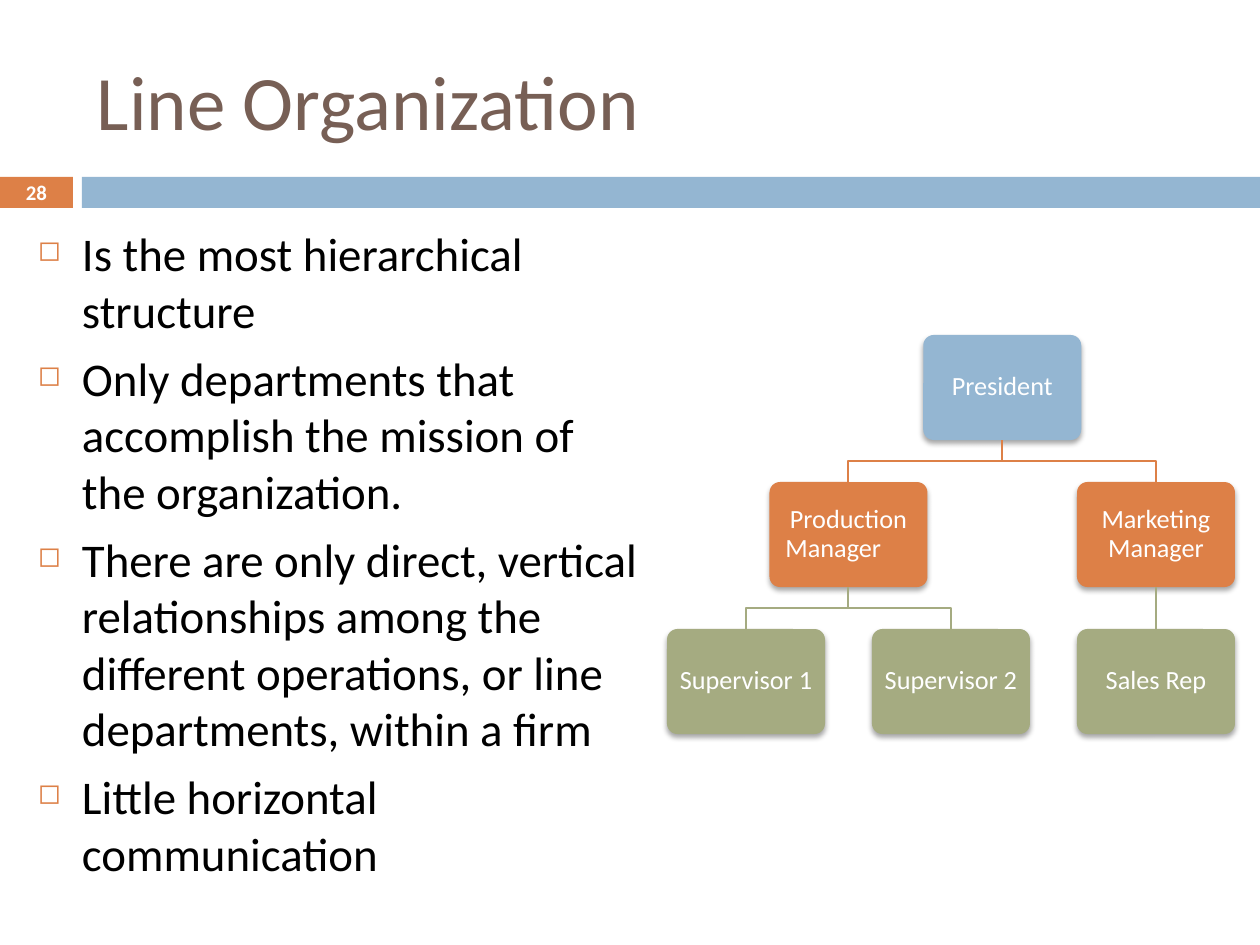
"""Builds a slide on line organization with a bullet list and an organization chart."""
from dataclasses import dataclass

from lxml import etree
from pptx import Presentation
from pptx.dml.color import RGBColor
from pptx.enum.shapes import MSO_CONNECTOR, MSO_SHAPE
from pptx.enum.text import MSO_ANCHOR, PP_ALIGN
from pptx.oxml.ns import qn
from pptx.util import Pt

PX = 914400 / 126
RECTANGLE, ROUNDED = MSO_SHAPE.RECTANGLE, MSO_SHAPE.ROUNDED_RECTANGLE
STRAIGHT = MSO_CONNECTOR.STRAIGHT
TOP, MIDDLE = MSO_ANCHOR.TOP, MSO_ANCHOR.MIDDLE
LEFT, CENTER = PP_ALIGN.LEFT, PP_ALIGN.CENTER


@dataclass(frozen=True)
class Theme:
    font: str = "Calibri"
    blue: str = "94B6D2"
    orange: str = "DD8047"
    green: str = "A5AB81"
    brown: str = "775F55"
    black: str = "000000"
    white: str = "FFFFFF"
    title_size: float = 44
    body_size: float = 26.8
    node_size: float = 15
    number_size: float = 11.9
    line_width: float = 1.5


THEME = Theme()
LEVEL_COLORS = (THEME.blue, THEME.orange, THEME.green)
NODE_WIDTH, NODE_HEIGHT = 158, 105
CHART_TOP, LEVEL_PITCH = 335, 147
FIRST_CENTER, COLUMN_PITCH = 746, 205

BULLETS = (
    "Is the most hierarchical structure",
    "Only departments that accomplish the mission of the organization.",
    "There are only direct, vertical relationships among the different operations, "
    "or line departments, within a firm",
    "Little horizontal communication",
)
ORGANIZATION = ("President", [
    ("Production Manager\t", [("Supervisor 1", []), ("Supervisor 2", [])]),
    ("Marketing Manager", [("Sales Rep", [])]),
])


def px(value):
    return round(value * PX)


def color(value):
    return RGBColor.from_string(value)


def write_text(shape, *texts, size, ink, bold=False, align=LEFT, anchor=MIDDLE,
               inset=(13, 6), line_spacing=None, space_before=None, bullet=None):
    frame = shape.text_frame
    frame.word_wrap = True
    frame.vertical_anchor = anchor
    frame.margin_left = frame.margin_right = px(inset[0])
    frame.margin_top = frame.margin_bottom = px(inset[1])
    for index, text in enumerate(texts):
        paragraph = frame.add_paragraph() if index else frame.paragraphs[0]
        paragraph.alignment = align
        paragraph.line_spacing = line_spacing
        if space_before:
            paragraph.space_before = Pt(space_before)
        run = paragraph.add_run()
        run.text = text
        run.font.name = THEME.font
        run.font.size = Pt(size)
        run.font.bold = bold
        run.font.color.rgb = color(ink)
        if bullet:
            add_bullet(paragraph, bullet)


def add_bullet(paragraph, character, indent=44):
    properties = paragraph._p.get_or_add_pPr()
    properties.set("marL", str(px(indent)))
    properties.set("indent", str(-px(indent)))
    bullet_color = etree.SubElement(properties, qn("a:buClr"))
    etree.SubElement(bullet_color, qn("a:srgbClr"), val=THEME.orange)
    etree.SubElement(properties, qn("a:buSzPct"), val="60000")
    etree.SubElement(properties, qn("a:buChar"), char=character)


def add_text(slide, left, top, width, height, *texts, **text_format):
    box = slide.shapes.add_textbox(px(left), px(top), px(width), px(height))
    write_text(box, *texts, **text_format)


def add_block(slide, left, top, width, height, fill, kind=RECTANGLE):
    shape = slide.shapes.add_shape(kind, px(left), px(top), px(width), px(height))
    shape.shadow.inherit = False
    shape.fill.solid()
    shape.fill.fore_color.rgb = color(fill)
    shape.line.fill.background()
    return shape


def add_drop_shadow(shape):
    effects = shape._element.spPr.find(qn("a:effectLst"))
    shadow = etree.SubElement(effects, qn("a:outerShdw"), blurRad=str(Pt(3)),
                              dist=str(Pt(2)), dir="5400000", rotWithShape="0")
    shade = etree.SubElement(shadow, qn("a:srgbClr"), val=THEME.black)
    etree.SubElement(shade, qn("a:alpha"), val="35000")


def add_node(slide, text, center, level):
    shape = add_block(slide, center - NODE_WIDTH / 2, CHART_TOP + level * LEVEL_PITCH,
                      NODE_WIDTH, NODE_HEIGHT, LEVEL_COLORS[level], ROUNDED)
    shape.adjustments[0] = 0.1
    add_drop_shadow(shape)
    write_text(shape, text, size=THEME.node_size, ink=THEME.white, align=CENTER,
               inset=(7, 7), line_spacing=0.9)


def add_link(slide, parent_center, child_center, level):
    bottom = CHART_TOP + level * LEVEL_PITCH
    top = bottom - LEVEL_PITCH + NODE_HEIGHT
    middle = (top + bottom) / 2
    if parent_center == child_center:
        link = slide.shapes.add_connector(STRAIGHT, px(parent_center), px(top),
                                          px(child_center), px(bottom))
        etree.SubElement(link._element.spPr, qn("a:effectLst"))
    else:
        builder = slide.shapes.build_freeform(parent_center, top, scale=PX)
        builder.add_line_segments([(parent_center, middle), (child_center, middle),
                                   (child_center, bottom)], close=False)
        link = builder.convert_to_shape()
        link.shadow.inherit = False
        link.fill.background()
    link.line.color.rgb = color(LEVEL_COLORS[level])
    link.line.width = Pt(THEME.line_width)


def add_branch(slide, node, level=0, column=0):
    """Draws a node centered over its children and returns its center and the next free column."""
    text, children = node
    centers = []
    for child in children:
        center, column = add_branch(slide, child, level + 1, column)
        centers.append(center)
    if centers:
        center = (centers[0] + centers[-1]) / 2
    else:
        center = FIRST_CENTER + column * COLUMN_PITCH
        column += 1
    add_node(slide, text, center, level)
    for child_center in centers:
        add_link(slide, center, child_center, level + 1)
    return center, column


def main():
    presentation = Presentation()
    presentation.slide_width, presentation.slide_height = px(1260), px(945)
    slide = presentation.slides.add_slide(presentation.slide_layouts[6])
    number = add_block(slide, 0, 177, 73, 31, THEME.orange)
    write_text(number, "28", size=THEME.number_size, ink=THEME.white, bold=True,
               align=CENTER, inset=(0, 0))
    add_block(slide, 82, 177, 1178, 31, THEME.blue)
    add_text(slide, 84, 32, 1124, 136, "Line Organization",
             size=THEME.title_size, ink=THEME.brown)
    add_text(slide, 25, 219, 635, 690, *BULLETS, size=THEME.body_size, ink=THEME.black,
             anchor=TOP, space_before=7, bullet="◻")
    add_branch(slide, ORGANIZATION)
    presentation.save("out.pptx")


if __name__ == "__main__":
    main()
